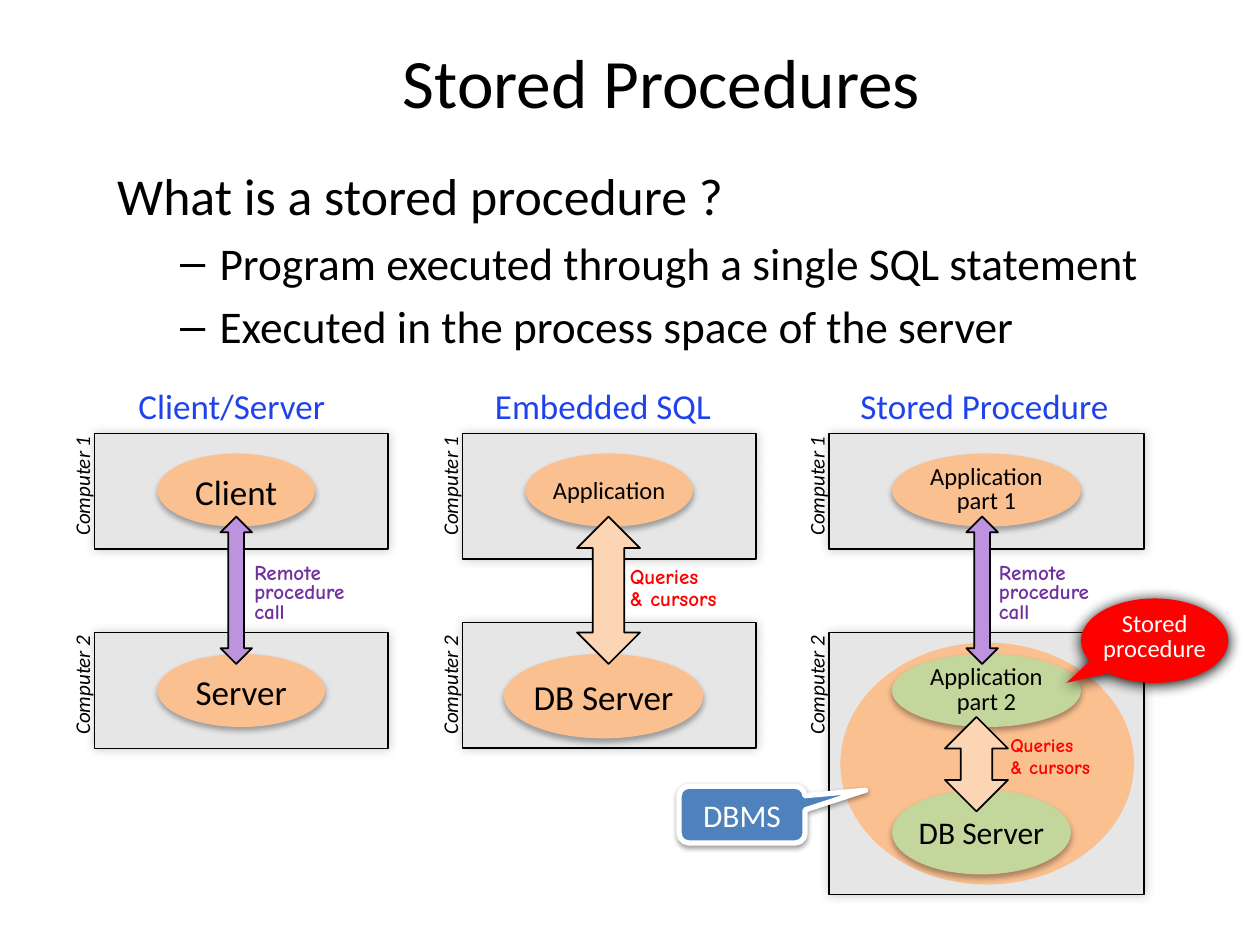
from dataclasses import dataclass
from typing import Optional

from lxml.etree import SubElement
from pptx import Presentation
from pptx.dml.color import RGBColor
from pptx.enum.shapes import MSO_SHAPE
from pptx.enum.text import MSO_ANCHOR, MSO_AUTO_SIZE, PP_ALIGN
from pptx.oxml.ns import qn
from pptx.util import Inches, Pt

COLORS = {
    "black": "000000", "white": "FFFFFF", "gray": "E6E6E6", "orange": "FAC090",
    "peach": "FCD5B5", "green": "C3D69B", "lilac": "BD92DE", "purple": "7030A0",
    "red": "FF0000", "blue": "4F81BD", "heading": "2042EE",
}


@dataclass(frozen=True)
class Shadow:
    opacity: int
    blur: float
    distance: float
    angle: int


@dataclass(frozen=True)
class Style:
    size: float
    color: str = "black"
    font: str = "Calibri"
    bold: bool = False
    italic: bool = False
    spacing: Optional[float] = None
    align: Optional[PP_ALIGN] = None


@dataclass(frozen=True)
class Block:
    kind: MSO_SHAPE
    place: tuple
    fill: str
    outline: Optional[tuple] = None
    shadow: Optional[Shadow] = None
    lines: tuple = ()
    style: Optional[Style] = None
    anchor: MSO_ANCHOR = MSO_ANCHOR.MIDDLE
    insets: tuple = (0, 0, 0, 0)
    adjustments: tuple = ()


@dataclass(frozen=True)
class Label:
    place: tuple
    lines: tuple
    style: Style
    rotation: int = 0


DEFAULT_INSETS = (0.1, 0.05, 0.1, 0.05)
THIN = ("black", 1)
PANEL_SHADOW = Shadow(20, 6, 0, 315)
NODE_SHADOW = Shadow(32, 3.5, 2.2, 90)
HEADING = Style(20, "heading")
SIDE = Style(12, italic=True)
REMOTE = Style(12, "purple", "Comic Neue", bold=True, spacing=11)
REMOTE_CALL = ("Remote", "procedure", "call")
QUERIES = ("Queries", "& cursors")


def panel(left: float, top: float, width: float, height: float) -> Block:
    return Block(MSO_SHAPE.RECTANGLE, (left, top, width, height), "gray", THIN, PANEL_SHADOW)


def node(place: tuple, lines: tuple, size: float, fill: str = "orange",
         spacing: Optional[float] = None, top_text: bool = False) -> Block:
    style = Style(size, spacing=spacing, align=PP_ALIGN.CENTER)
    anchor = MSO_ANCHOR.TOP if top_text else MSO_ANCHOR.MIDDLE
    insets = DEFAULT_INSETS if top_text else (0, 0, 0, 0)
    return Block(MSO_SHAPE.OVAL, place, fill, None, NODE_SHADOW, lines, style, anchor, insets)


def arrow(left: float, top: float, width: float, height: float, fill: str) -> Block:
    return Block(MSO_SHAPE.UP_DOWN_ARROW, (left, top, width, height), fill, THIN)


def side_labels(column: float) -> list:
    return [Label((column - 0.6, top, 1, 0.3), (f"Computer {number}",), SIDE, 270)
            for number, top in ((1, 3.7), (2, 5.28))]


def queries(left: float, top: float, width: float, size: float) -> Label:
    style = Style(size, "red", "Comic Neue", bold=True, spacing=13)
    return Label((left, top, width, 0.47), QUERIES, style)


FIRST, SECOND, THIRD = 0.75, 3.67, 6.58
DIAGRAMS = (
    [
        panel(FIRST, 3.44, 2.33, 0.92),
        panel(FIRST, 5.02, 2.33, 0.92),
        node((1.25, 3.6, 1.25, 0.58), ("Client",), 20, top_text=True),
        node((1.25, 5.19, 1.33, 0.58), ("Server",), 20, top_text=True),
        arrow(1.75, 4.1, 0.25, 1.17, "lilac"),
        *side_labels(FIRST),
        Label((1.92, 4.44, 1, 0.57), REMOTE_CALL, REMOTE),
        Label((1, 3, 1.7, 0.44), ("Client/Server",), HEADING),
    ],
    [
        panel(SECOND, 3.44, 2.33, 1),
        panel(SECOND, 4.94, 2.33, 1),
        node((4.17, 3.6, 1.33, 0.58), ("Application",), 14),
        node((4, 5.19, 1.58, 0.67), ("DB Server",), 20),
        arrow(4.58, 4.1, 0.5, 1.17, "peach"),
        *side_labels(SECOND),
        queries(4.9, 4.44, 0.97, 12),
        Label((3.83, 3, 1.93, 0.44), ("Embedded SQL",), HEADING),
    ],
    [
        panel(THIRD, 5.02, 2.5, 2.08),
        Block(MSO_SHAPE.OVAL, (6.67, 5.1, 2.33, 1.92), "orange"),
        panel(THIRD, 3.44, 2.5, 0.92),
        *side_labels(THIRD),
        Label((7.83, 4.44, 1, 0.57), REMOTE_CALL, REMOTE),
        Label((6.73, 3, 2.19, 0.44), ("Stored Procedure",), HEADING),
        node((7.08, 6.27, 1.42, 0.67), ("DB Server",), 18, "green"),
        node((7.08, 3.6, 1.5, 0.58), ("Application", "part 1"), 14, spacing=14),
        node((7.08, 5.19, 1.5, 0.58), ("Application", "part 2"), 14, "green", 14),
        arrow(7.67, 4.1, 0.25, 1.17, "lilac"),
        arrow(7.5, 5.69, 0.5, 0.75, "peach"),
        queries(7.92, 5.77, 0.91, 11),
    ],
)
CALLOUTS = (
    Block(MSO_SHAPE.OVAL_CALLOUT, (8.58, 4.75, 1.17, 0.67), "red", None,
          Shadow(100, 8.5, 1, 90), ("Stored procedure",),
          Style(14, "white", spacing=14, align=PP_ALIGN.CENTER),
          insets=(0, 0, 0, 0.05), adjustments=(-0.6, 0.5)),
    Block(MSO_SHAPE.ROUNDED_RECTANGULAR_CALLOUT, (5.39, 6.24, 1, 0.45), "blue", ("white", 3),
          Shadow(38, 3.1, 1.6, 90), ("DBMS",), Style(18, "white", align=PP_ALIGN.CENTER),
          insets=DEFAULT_INSETS, adjustments=(0.98, -0.43, 0.17)),
)


def color(name: str) -> RGBColor:
    return RGBColor.from_string(COLORS[name])


def write_lines(frame, lines: tuple, style: Style) -> None:
    for index, line in enumerate(lines):
        para = frame.add_paragraph() if index else frame.paragraphs[0]
        para.alignment = style.align
        if style.spacing:
            para.line_spacing = Pt(style.spacing)
        span = para.add_run()
        span.text = line
        span.font.size = Pt(style.size)
        span.font.name = style.font
        span.font.bold = style.bold
        span.font.italic = style.italic
        span.font.color.rgb = color(style.color)


def add_shadow(shape, shadow: Shadow) -> None:
    effects = shape._element.spPr.find(qn("a:effectLst"))
    outer = SubElement(effects, qn("a:outerShdw"), blurRad=str(Pt(shadow.blur)),
                       dist=str(Pt(shadow.distance)), dir=str(shadow.angle * 60000),
                       algn="ctr", rotWithShape="0")
    tint = SubElement(outer, qn("a:srgbClr"), val=COLORS["black"])
    SubElement(tint, qn("a:alpha"), val=str(shadow.opacity * 1000))


def draw_block(shapes, block: Block) -> None:
    shape = shapes.add_shape(block.kind, *map(Inches, block.place))
    for index, value in enumerate(block.adjustments):
        shape.adjustments[index] = value
    shape.fill.solid()
    shape.fill.fore_color.rgb = color(block.fill)
    if block.outline:
        name, width = block.outline
        shape.line.color.rgb = color(name)
        shape.line.width = Pt(width)
    else:
        shape.line.fill.background()
    shape.shadow.inherit = False
    if block.shadow:
        add_shadow(shape, block.shadow)
    if block.lines:
        frame = shape.text_frame
        frame.word_wrap = True
        frame.vertical_anchor = block.anchor
        (frame.margin_left, frame.margin_top,
         frame.margin_right, frame.margin_bottom) = map(Inches, block.insets)
        write_lines(frame, block.lines, block.style)


def draw_label(shapes, label: Label) -> None:
    box = shapes.add_textbox(*map(Inches, label.place))
    box.rotation = label.rotation
    box.text_frame.word_wrap = False
    box.text_frame.auto_size = MSO_AUTO_SIZE.SHAPE_TO_FIT_TEXT
    write_lines(box.text_frame, label.lines, label.style)


def move(box, *place: float) -> None:
    box.left, box.top, box.width, box.height = map(Inches, place)
    box.text_frame.auto_size = MSO_AUTO_SIZE.NONE


def fill_placeholders(page) -> None:
    title, body = page.shapes.title, page.placeholders[1]
    move(title, 1, 0.25, 8.5, 0.79)
    write_lines(title.text_frame, ("Stored Procedures",), Style(39.6, align=PP_ALIGN.CENTER))
    move(body, 0.83, 1.25, 8.5, 1.67)
    frame = body.text_frame
    write_lines(frame, ("What is a stored procedure ?",), Style(29.6))
    question = frame.paragraphs[0]
    SubElement(question._p.get_or_add_pPr(), qn("a:buNone"))
    question.space_before = Pt(0)
    for line in ("Program executed through a single SQL statement",
                 "Executed in the process space of the server"):
        para = frame.add_paragraph()
        para.level = 1
        span = para.add_run()
        span.text = line
        span.font.size = Pt(25.9)
        span.font.name = "Calibri"
        span.font.color.rgb = color("black")


def main() -> None:
    deck = Presentation()
    deck.slide_width, deck.slide_height = Inches(10), Inches(7.5)
    page = deck.slides.add_slide(deck.slide_layouts[1])
    fill_placeholders(page)
    for diagram in DIAGRAMS:
        group = page.shapes.add_group_shape()
        for item in diagram:
            draw = draw_block if isinstance(item, Block) else draw_label
            draw(group.shapes, item)
    for callout in CALLOUTS:
        draw_block(page.shapes, callout)
    deck.save("out.pptx")


if __name__ == "__main__":
    main()
